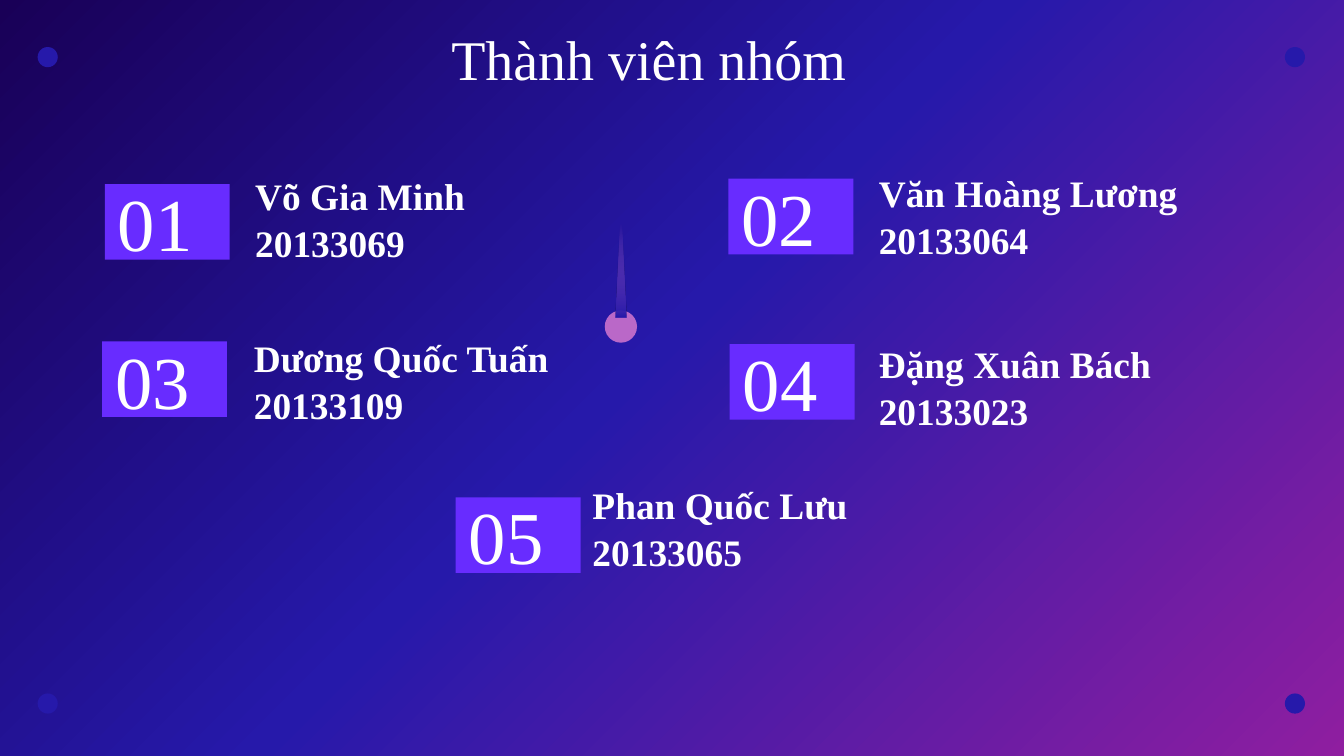
from lxml import etree
from pptx import Presentation
from pptx.dml.color import RGBColor
from pptx.enum.shapes import MSO_SHAPE as Shape
from pptx.enum.text import MSO_ANCHOR as Anchor, PP_ALIGN as Align
from pptx.oxml.ns import qn
from pptx.util import Inches, Pt

COLORS = {"navy": "190057", "blue": "2619AA", "purple": "8F1EA0",
          "violet": "682CFF", "pink": "BA68C8", "white": "FFFFFF"}
FONT = "Times New Roman"

deck = Presentation()
deck.slide_width, deck.slide_height = Inches(10), Inches(5.625)
slide = deck.slides.add_slide(deck.slide_layouts[6])
col, row = deck.slide_width / 100, deck.slide_height / 100


def apply_gradient(fill, holder, stops, degrees):
    fill.solid()
    solid = next(holder.iter(qn("a:solidFill")))
    gradient = etree.Element(qn("a:gradFill"), rotWithShape="1")
    stop_list = etree.SubElement(gradient, qn("a:gsLst"))
    for position, color, opacity in stops:
        stop = etree.SubElement(stop_list, qn("a:gs"), pos=str(position * 1000))
        rgb = etree.SubElement(stop, qn("a:srgbClr"), val=COLORS[color])
        if opacity < 100:
            etree.SubElement(rgb, qn("a:alpha"), val=str(opacity * 1000))
    etree.SubElement(gradient, qn("a:lin"), ang=str(degrees * 60000), scaled="0")
    solid.getparent().replace(solid, gradient)


def add_block(left, top, width, height, kind=None, color=None, lines=(), size=20,
              bold=False, align=Align.LEFT, anchor=Anchor.BOTTOM, inset_top=0.1, spacing=1.0):
    area = [int(left * col), int(top * row), int(width * col), int(height * row)]
    if kind is None:
        block = slide.shapes.add_textbox(*area)
    else:
        block = slide.shapes.add_shape(kind, *area)
        block.shadow.inherit = False
        block.line.fill.background()
        block.fill.solid()
        block.fill.fore_color.rgb = RGBColor.from_string(COLORS[color])
    frame = block.text_frame
    frame.word_wrap = True
    frame.vertical_anchor = anchor
    frame.margin_left = frame.margin_right = frame.margin_bottom = Inches(0.1)
    frame.margin_top = Inches(inset_top)
    for index, line in enumerate(lines):
        paragraph = frame.paragraphs[0] if index == 0 else frame.add_paragraph()
        paragraph.alignment = align
        paragraph.line_spacing = spacing
        run = paragraph.add_run()
        run.text = line
        run.font.name, run.font.size, run.font.bold = FONT, Pt(size), bold
        run.font.color.rgb = RGBColor.from_string(COLORS["white"])
    return block


backdrop = slide.background.fill
apply_gradient(backdrop, slide.element,
               [(0, "navy", 100), (48, "blue", 100), (100, "purple", 100)], 45)

for dot_left in (2.8, 95.6):
    for dot_top in (6.22, 91.73):
        add_block(dot_left, dot_top, 1.5, 2.67, Shape.OVAL, "blue")

add_block(6.6, 3.38, 84.4, 10.49, lines=["Thành viên nhóm "], size=30, align=Align.CENTER)

add_block(45, 41.07, 2.4, 4.27, Shape.OVAL, "pink")
comet_tail = add_block(45.8, 26.49, 0.8, 15.47, Shape.ISOSCELES_TRIANGLE, "blue")
apply_gradient(comet_tail.fill, comet_tail.element.spPr,
               [(0, "blue", 100), (80, "pink", 0), (100, "pink", 0)], 270)

members = [
    ("Võ Gia Minh", "20133069", (7.8, 24.36), (18, 21.87)),
    ("Văn Hoàng Lương", "20133064", (54.2, 23.64), (64.4, 21.51)),
    ("Dương Quốc Tuấn", "20133109", (7.6, 45.16), (17.9, 43.38)),
    ("Đặng Xuân Bách", "20133023", (54.3, 45.51), (64.4, 44.09)),
    ("Phan Quốc Lưu", "20133065", (33.9, 65.78), (43.1, 62.76)),
]
for number, (name, student_id, badge, label) in enumerate(members, 1):
    add_block(*badge, 9.3, 10, Shape.RECTANGLE, "violet", [f"{number:02d}"],
              size=40, anchor=Anchor.MIDDLE)
    add_block(*label, 27.9, 14.93, lines=[name, student_id], bold=True,
              inset_top=0, spacing=1.05)

deck.save("out.pptx")
